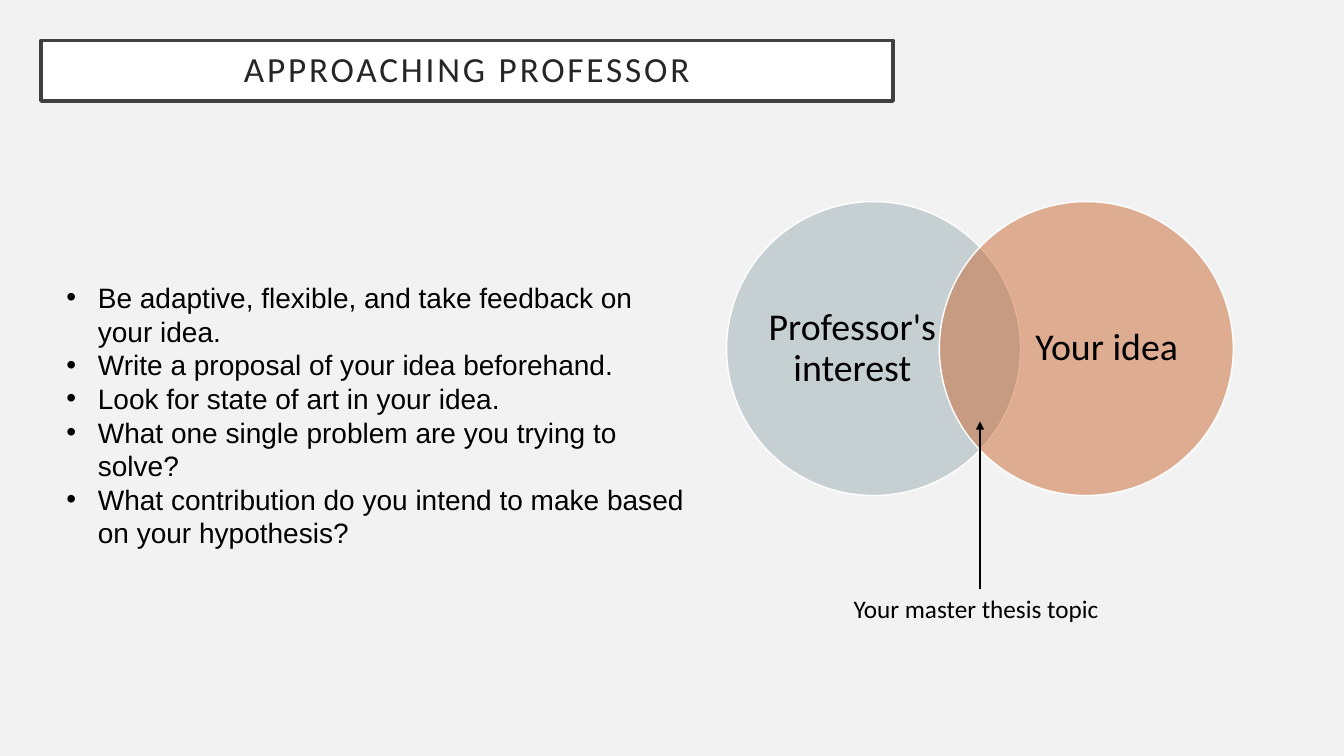
from lxml import etree
from pptx import Presentation
from pptx.dml.color import RGBColor
from pptx.enum.shapes import MSO_CONNECTOR, MSO_SHAPE
from pptx.enum.text import MSO_ANCHOR, PP_ALIGN
from pptx.oxml.ns import qn
from pptx.util import Pt

# Content
TITLE = "APPROACHING PROFESSOR"
ADVICE = [
    "Be adaptive, flexible, and take feedback on your idea.",
    "Write a proposal of your idea beforehand.",
    "Look for state of art in your idea.",
    "What one single problem are you trying to solve?",
    "What contribution do you intend to make based on your hypothesis?",
]
# Circle label, colour key, label offset from the circle's left edge
CIRCLES = [("Professor's interest", "professor", 29.3), ("Your idea", "idea", 59)]
TOPIC = "Your master thesis topic"

COLORS = {
    "background": "F2F2F2", "white": "FFFFFF", "frame": "404040",
    "title": "262626", "text": "000000",
    "professor": "9BAFB5", "idea": "C96731",
}

# Layout, in points
CIRCLE_LEFT, CIRCLE_TOP, CIRCLE_SIZE, CIRCLE_STEP = 519, 144, 210, 152
LABEL_WIDTH, LABEL_HEIGHT = 121, 160.6
ARROW_X = CIRCLE_LEFT + (CIRCLE_STEP + CIRCLE_SIZE) / 2
ARROW_TOP, ARROW_BOTTOM = 301, 420.5
INDENT = 22.5


def color(key):
    return RGBColor.from_string(COLORS[key])


def add_box(left, top, width, height, inset=0, anchor=MSO_ANCHOR.MIDDLE, wrap=True):
    sp = slide.shapes.add_textbox(Pt(left), Pt(top), Pt(width), Pt(height))
    set_frame(sp.text_frame, inset, anchor, wrap)
    return sp.text_frame


def set_frame(tf, inset, anchor, wrap=True):
    tf.word_wrap = wrap
    tf.vertical_anchor = anchor
    tf.margin_left = tf.margin_right = Pt(inset)
    tf.margin_top = tf.margin_bottom = Pt(inset)


def write(p, text, size, font="Calibri", key="text", align=PP_ALIGN.LEFT, spacing=1.0):
    p.text = text
    p.alignment = align
    p.line_spacing = spacing
    r = p.runs[0]
    r.font.size = Pt(size)
    r.font.name = font
    r.font.color.rgb = color(key)
    return r


def add_shape(kind, left, top, width, height, fill, line, line_width):
    sp = slide.shapes.add_shape(kind, Pt(left), Pt(top), Pt(width), Pt(height))
    sp.shadow.inherit = False
    sp.fill.solid()
    sp.fill.fore_color.rgb = color(fill)
    sp.line.color.rgb = color(line)
    sp.line.width = Pt(line_width)
    return sp


prs = Presentation()
prs.slide_width, prs.slide_height = Pt(960), Pt(540)
slide = prs.slides.add_slide(prs.slide_layouts[6])
slide.background.fill.solid()
slide.background.fill.fore_color.rgb = color("background")

# Title
sp = add_shape(MSO_SHAPE.RECTANGLE, 29.3, 28.8, 608.6, 43.4, "white", "frame", 2.5)
set_frame(sp.text_frame, 14.4, MSO_ANCHOR.MIDDLE)
r = write(sp.text_frame.paragraphs[0], TITLE, 25.2, key="title",
          align=PP_ALIGN.CENTER, spacing=0.9)
r.font._element.set("spc", "200")

# Overlapping circles with labels
for i, (label, key, offset) in enumerate(CIRCLES):
    left = CIRCLE_LEFT + i * CIRCLE_STEP
    sp = add_shape(MSO_SHAPE.OVAL, left, CIRCLE_TOP, CIRCLE_SIZE, CIRCLE_SIZE,
                   key, "white", 1)
    fill = sp._element.spPr.find(qn("a:solidFill"))
    etree.SubElement(fill[0], qn("a:alpha")).set("val", "50000")
    label_top = CIRCLE_TOP + (CIRCLE_SIZE - LABEL_HEIGHT) / 2
    tf = add_box(left + offset, label_top, LABEL_WIDTH, LABEL_HEIGHT)
    write(tf.paragraphs[0], label, 27, align=PP_ALIGN.CENTER, spacing=0.9)

# Advice list
tf = add_box(40.3, 172.8, 461.5, 249.8, 7.2, MSO_ANCHOR.TOP)
tf.margin_top = Pt(27.6)
for i, text in enumerate(ADVICE):
    p = tf.paragraphs[0] if i == 0 else tf.add_paragraph()
    write(p, text, 20, font="Arial")
    pPr = p._p.get_or_add_pPr()
    pPr.set("marL", str(Pt(INDENT)))
    pPr.set("indent", str(-Pt(INDENT)))
    etree.SubElement(pPr, qn("a:buFont")).set("typeface", "Arial")
    etree.SubElement(pPr, qn("a:buChar")).set("char", "•")

# Arrow from the topic to the overlap
arrow = slide.shapes.add_connector(MSO_CONNECTOR.STRAIGHT, Pt(ARROW_X), Pt(ARROW_BOTTOM),
                                   Pt(ARROW_X), Pt(ARROW_TOP))
arrow.line.color.rgb = color("text")
arrow.line.width = Pt(1)
etree.SubElement(arrow.line._get_or_add_ln(), qn("a:tailEnd")).set("type", "triangle")
etree.SubElement(arrow._element.spPr, qn("a:effectLst"))

# Topic caption
tf = add_box(602.6, ARROW_BOTTOM, 193.7, 29, 7.2, MSO_ANCHOR.TOP, wrap=False)
tf.margin_top = tf.margin_bottom = Pt(3.6)
write(tf.paragraphs[0], TOPIC, 18)

prs.save("out.pptx")
